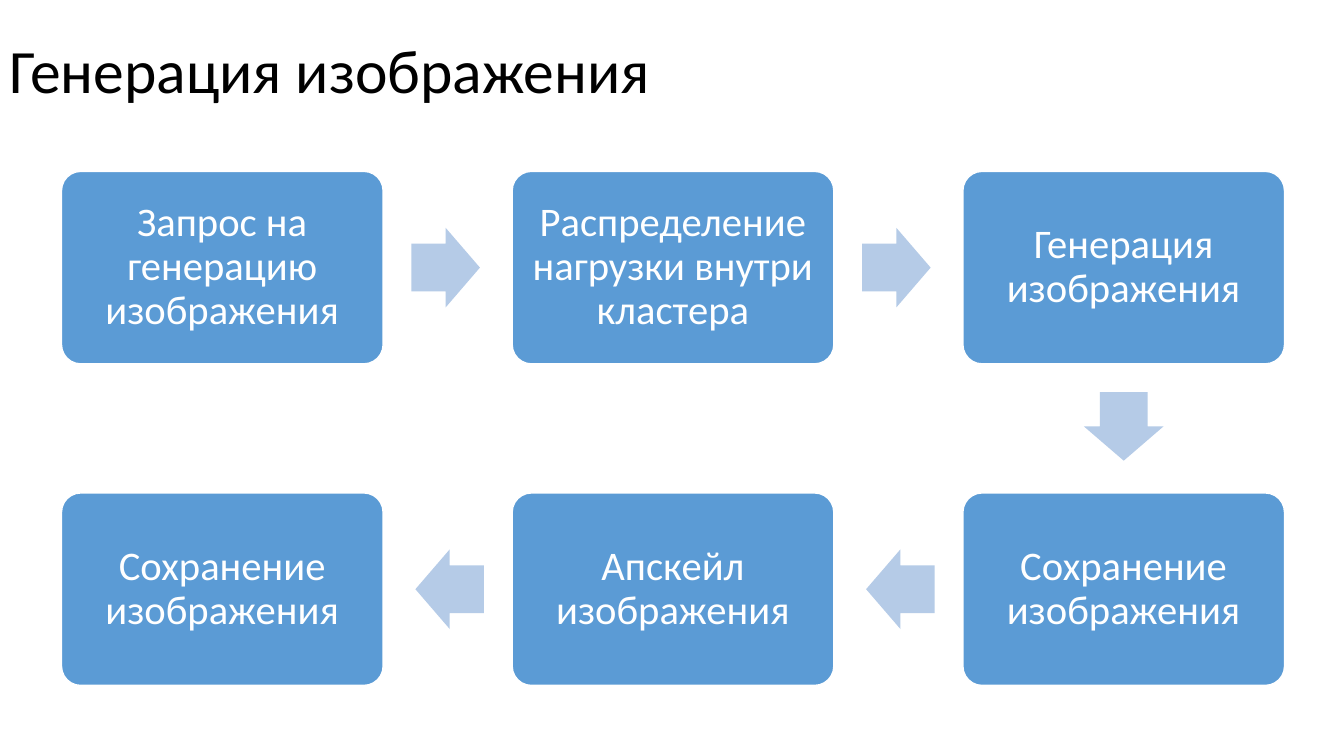
from dataclasses import dataclass
from itertools import pairwise
from math import atan2, cos, degrees, sin

from pptx import Presentation
from pptx.dml.color import RGBColor as RGB
from pptx.enum.shapes import MSO_SHAPE as Shape
from pptx.enum.text import MSO_ANCHOR as Anchor, PP_ALIGN as Align
from pptx.util import Inches, Pt


@dataclass(frozen=True)
class Theme:
    font: str = "Calibri"
    title: int = 44
    body: int = 29
    black: RGB = RGB(0, 0, 0)
    white: RGB = RGB(255, 255, 255)
    blue: RGB = RGB(0x5B, 0x9B, 0xD5)
    pale: RGB = RGB(0xB5, 0xCB, 0xE7)


BOX_W, BOX_H = 3.19, 1.91
ARROW_W, ARROW_H = 0.68, 0.79
LEFT, TOP = 0.61, 1.7
STEP_X, STEP_Y = 4.47, 3.19
COLS = 3
NUDGE = 0.02
STEPS = [
    "Запрос на генерацию изображения",
    "Распределение нагрузки внутри кластера",
    "Генерация изображения",
    "Сохранение изображения",
    "Апскейл изображения",
    "Сохранение изображения",
]


class Deck:
    def __init__(self, theme):
        self.theme = theme
        self.file = Presentation()
        self.file.slide_width = Inches(13.33)
        self.file.slide_height = Inches(7.5)
        self.slide = self.file.slides.add_slide(self.file.slide_layouts[6])

    def label(self, frame, text, size, color, align):
        frame.word_wrap = True
        frame.vertical_anchor = Anchor.MIDDLE
        para = frame.paragraphs[0]
        para.text = text
        para.alignment = align
        para.line_spacing = 0.9
        para.font.name = self.theme.font
        para.font.size = Pt(size)
        para.font.color.rgb = color

    def title(self, text):
        area = self.slide.shapes.add_textbox(0, 0, Inches(11.5), Inches(1.45))
        self.label(area.text_frame, text, self.theme.title,
                   self.theme.black, Align.LEFT)

    def shape(self, kind, center, width, height, fill, ratios):
        x, y = center
        item = self.slide.shapes.add_shape(
            kind, Inches(x - width / 2), Inches(y - height / 2),
            Inches(width), Inches(height))
        item.shadow.inherit = False
        item.fill.solid()
        item.fill.fore_color.rgb = fill
        for i, ratio in enumerate(ratios):
            item.adjustments[i] = ratio
        return item

    def box(self, center, text):
        item = self.shape(Shape.ROUNDED_RECTANGLE, center, BOX_W, BOX_H,
                          self.theme.blue, [0.1])
        item.line.color.rgb = self.theme.white
        item.line.width = Pt(1)
        frame = item.text_frame
        frame.margin_left = frame.margin_right = Inches(0.12)
        frame.margin_top = frame.margin_bottom = Inches(0.12)
        self.label(frame, text, self.theme.body, self.theme.white,
                   Align.CENTER)

    def arrow(self, start, end):
        """Point from start to end, set slightly back from the midpoint."""
        (x1, y1), (x2, y2) = start, end
        angle = atan2(y2 - y1, x2 - x1)
        center = ((x1 + x2) / 2 - NUDGE * cos(angle),
                  (y1 + y2) / 2 - NUDGE * sin(angle))
        item = self.shape(Shape.RIGHT_ARROW, center, ARROW_W, ARROW_H,
                          self.theme.pale, [0.6, 0.5])
        item.line.fill.background()
        item.rotation = round(degrees(angle))


def place(index):
    """Center of a step on the snaking grid: odd rows run right to left."""
    row, col = divmod(index, COLS)
    if row % 2:
        col = COLS - 1 - col
    return (LEFT + col * STEP_X + BOX_W / 2, TOP + row * STEP_Y + BOX_H / 2)


def main():
    deck = Deck(Theme())
    deck.title("Генерация изображения")
    spots = [place(i) for i in range(len(STEPS))]
    for spot, text in zip(spots, STEPS):
        deck.box(spot, text)
    for start, end in pairwise(spots):
        deck.arrow(start, end)
    deck.file.save("out.pptx")


if __name__ == "__main__":
    main()
